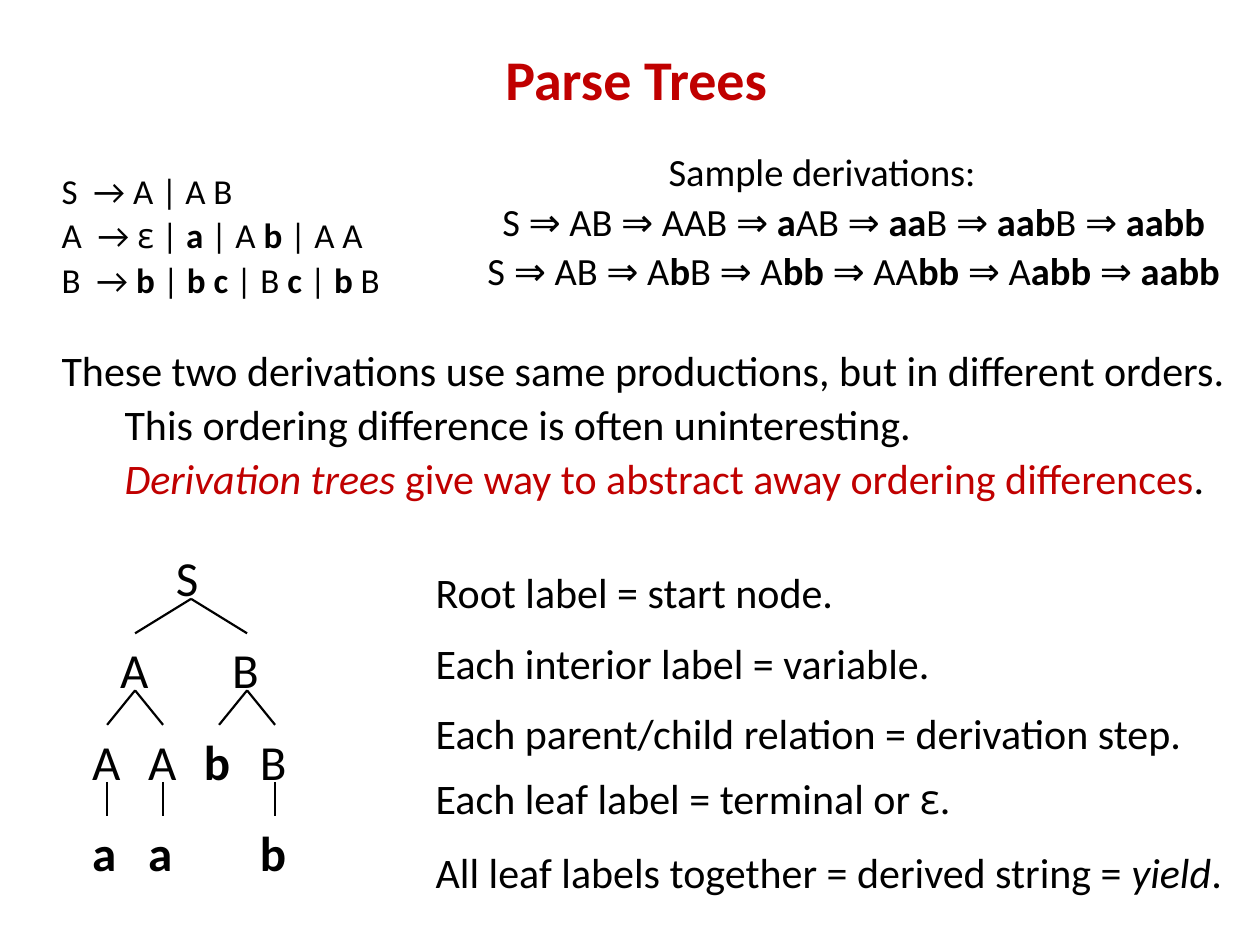
from dataclasses import dataclass

from pptx import Presentation
from pptx.dml.color import RGBColor
from pptx.enum.shapes import MSO_CONNECTOR
from pptx.enum.text import MSO_ANCHOR, MSO_AUTO_SIZE, PP_ALIGN
from pptx.oxml.ns import qn
from pptx.util import Pt


@dataclass(frozen=True)
class Theme:
    ink: RGBColor = RGBColor(0, 0, 0)
    accent: RGBColor = RGBColor(0xC0, 0, 0)
    font: str = "Calibri"
    symbol_font: str = "Open Sans"
    title: int = 32
    node: int = 28
    body: int = 24
    derivation: int = 22
    grammar: int = 20
    line: float = 1.25


THEME = Theme()
TOGGLES = {"*": "bold", "_": "italic", "~": "accent", "^": "symbol"}

GRAMMAR = [
    "S  → A | A B",
    "A  → ^ε^ | *a* | A *b* | A A",
    "B  → *b* | *b c* | B *c* | *b* B",
]
DERIVATIONS = [
    "Sample derivations:",
    "S ⇒ AB ⇒ AAB ⇒ *a*AB ⇒ *aa*B ⇒ *aab*B ⇒ *aabb*",
    "S ⇒ AB ⇒ A*b*B ⇒ A*bb* ⇒ AA*bb* ⇒ A*abb* ⇒ *aabb*",
]
ORDERING = [
    "These two derivations use same productions, but in different orders.",
    "This ordering difference is often uninteresting.",
    "~_Derivation trees_ give way to abstract away ordering differences~.",
]
# Text, top, width, height, line spacing
TREE_FACTS = [
    ("Root label = start node.", 320.4, 244, 36.7, 1),
    ("Each interior label = variable.", 360.7, 300, 36.7, 1),
    ("Each parent/child relation = derivation step.", 401, 445, 36.7, 1),
    ("Each leaf label = terminal or ^ε^.", 441.4, 310, 33.1, 0.9),
    ("All leaf labels together = derived string = _yield_.", 480.2, 468, 36.7, 1),
]

# Each tree node: label, column, row, columns of its children
NODES = [
    ("S", 3, 0, (1, 5)),
    ("A", 1, 1, (0, 2)), ("B", 5, 1, (4, 6)),
    ("A", 0, 2, (0,)), ("A", 2, 2, (2,)), ("*b*", 4, 2, ()), ("B", 6, 2, (6,)),
    ("*a*", 0, 3, ()), ("*a*", 2, 3, ()), ("*b*", 6, 3, ()),
]
NODE_WIDTHS = {"S": 27.4, "A": 31, "B": 30, "*a*": 28.8, "*b*": 29.5}
NODE_HEIGHT = 41
TREE_LEFT, TREE_TOP = 61.2, 309.6
COLUMN_STEP, ROW_STEP = 16, 52.3
BRANCH_OFFSET = 32.6


def add_span(para, text, size, bold=False, italic=False, accent=False, symbol=False):
    span = para.add_run()
    span.text = text
    font = span.font
    font.size = Pt(size)
    font.name = THEME.symbol_font if symbol else THEME.font
    font.bold, font.italic = bold, italic
    font.color.rgb = THEME.accent if accent else THEME.ink


def add_marked_text(para, text, size):
    """Write text as spans; each character in TOGGLES switches a format."""
    formats, pending = {}, ""
    for character in text:
        if character not in TOGGLES:
            pending += character
            continue
        if pending:
            add_span(para, pending, size, **formats)
            pending = ""
        name = TOGGLES[character]
        formats[name] = not formats.get(name, False)
    if pending:
        add_span(para, pending, size, **formats)


def add_text(page, lines, left, top, width, height, size, align=PP_ALIGN.LEFT,
             spacing=1, indent=0, anchor=MSO_ANCHOR.TOP,
             fit=MSO_AUTO_SIZE.SHAPE_TO_FIT_TEXT):
    """Add a text box; indent applies to every line after the first."""
    box = page.shapes.add_textbox(Pt(left), Pt(top), Pt(width), Pt(height))
    frame = box.text_frame
    frame.word_wrap = True
    frame.auto_size = fit
    frame.vertical_anchor = anchor
    for index, line in enumerate(lines):
        para = frame.paragraphs[0] if index == 0 else frame.add_paragraph()
        para.alignment = align
        para.line_spacing = spacing
        if index:
            para.space_before = Pt(size * 0.2)
            if indent:
                para.level = 1
                properties = para._p.get_or_add_pPr()
                properties.set("marL", str(Pt(indent)))
                properties.set("indent", "0")
        add_marked_text(para, line, size)


def add_branch(page, start_x, start_y, end_x, end_y):
    branch = page.shapes.add_connector(
        MSO_CONNECTOR.STRAIGHT, Pt(start_x), Pt(start_y), Pt(end_x), Pt(end_y))
    branch.line.color.rgb = THEME.ink
    branch.line.width = Pt(THEME.line)
    properties = branch._element.spPr
    properties.append(properties.makeelement(qn("a:effectLst"), {}))


def add_tree(page):
    for label, column, row, children in NODES:
        x = TREE_LEFT + column * COLUMN_STEP
        y = TREE_TOP + row * ROW_STEP
        add_text(page, [label], x - COLUMN_STEP, y, NODE_WIDTHS[label], NODE_HEIGHT,
                 THEME.node, align=PP_ALIGN.CENTER)
        for child in children:
            add_branch(page, x, y + BRANCH_OFFSET,
                       TREE_LEFT + child * COLUMN_STEP, y + ROW_STEP)


def main():
    deck = Presentation()
    deck.slide_width, deck.slide_height = Pt(720), Pt(540)
    page = deck.slides.add_slide(deck.slide_layouts[6])

    add_text(page, ["~* Parse Trees"], 36, 21.6, 648, 46, THEME.title,
             align=PP_ALIGN.CENTER, anchor=MSO_ANCHOR.MIDDLE, fit=MSO_AUTO_SIZE.NONE)
    add_text(page, DERIVATIONS, 219.6, 84.2, 500.4, 90, THEME.derivation,
             align=PP_ALIGN.CENTER, spacing=0.9, indent=36)
    add_text(page, GRAMMAR, 28.1, 95.8, 199.4, 82, THEME.grammar, spacing=0.9)
    add_text(page, ORDERING, 28.1, 196.6, 686.2, 97.2, THEME.body,
             spacing=0.9, indent=36)
    for fact, top, width, height, spacing in TREE_FACTS:
        add_text(page, [fact], 241.9, top, width, height, THEME.body, spacing=spacing)
    add_tree(page)

    deck.save("out.pptx")


if __name__ == "__main__":
    main()
